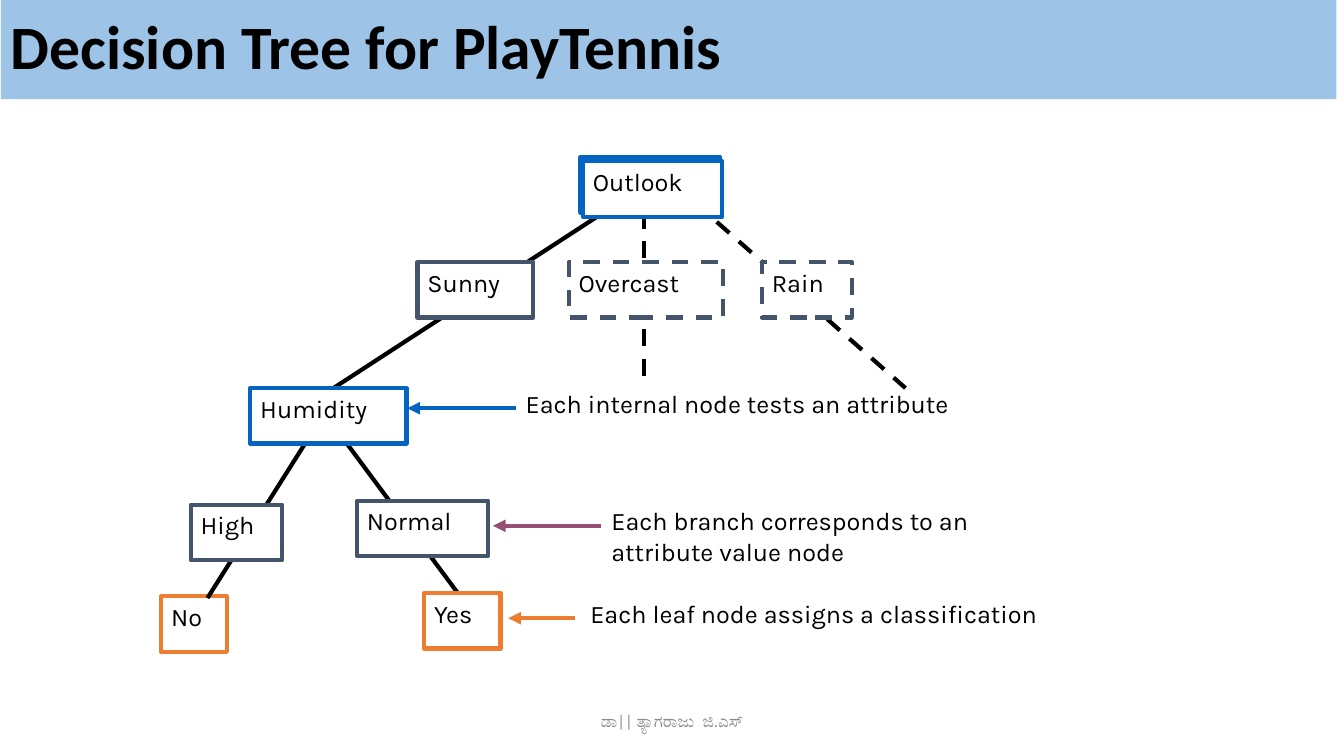
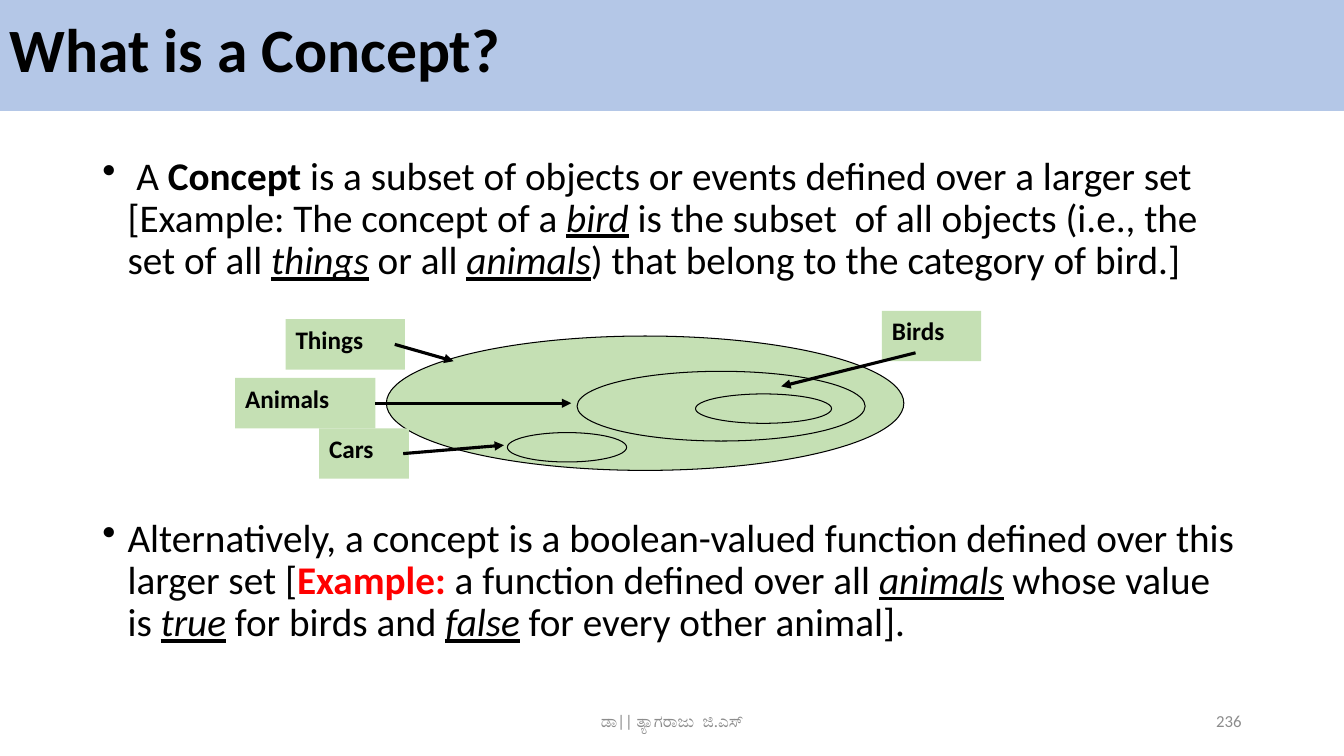
from dataclasses import dataclass

import pptx
import pptx.util
import pptx.dml.color
import pptx.enum.dml
import pptx.enum.shapes
import pptx.enum.text
import pptx.oxml
import pptx.oxml.ns

Pt = pptx.util.Pt
RGB = pptx.dml.color.RGBColor.from_string
SHAPE = pptx.enum.shapes.MSO_SHAPE
ALIGN = pptx.enum.text.PP_ALIGN
ANCHOR = pptx.enum.text.MSO_ANCHOR
DASH = pptx.enum.dml.MSO_LINE.DASH


@dataclass(frozen=True)
class Theme:
    black: str = "000000"
    white: str = "FFFFFF"
    grey: str = "8C8C8C"
    red: str = "FF0000"
    sky: str = "9DC3E6"
    periwinkle: str = "B4C7E7"
    green: str = "C5E0B4"
    attribute: str = "0563C1"
    value: str = "44546A"
    branch: str = "954F72"
    leaf: str = "ED7D31"
    main_font: str = "Calibri"
    tree_font: str = "Karla"
    title: int = 44
    body: int = 28
    label: int = 18
    footer: int = 12
    spacing: float = 0.9


T = Theme()
COLS, ROWS = 160, 90

prs = pptx.Presentation()
prs.slide_width = pptx.util.Inches(13.33)
prs.slide_height = pptx.util.Inches(7.5)
COL, ROW = prs.slide_width / COLS, prs.slide_height / ROWS


def add_box(s, x, y, w, h, text="", fill=None, line=None, weight=3, dash=False,
            kind=SHAPE.RECTANGLE, size=T.label, font=T.main_font, color=T.black,
            bold=False, align=ALIGN.LEFT, anchor=ANCHOR.TOP):
    """Place a box in grid units; each line of text becomes a paragraph."""
    place = int(x * COL), int(y * ROW), int(w * COL), int(h * ROW)
    if fill:
        sp = s.shapes.add_shape(kind, *place)
        sp.shadow.inherit = False
        sp.fill.solid()
        sp.fill.fore_color.rgb = RGB(fill)
    else:
        sp = s.shapes.add_textbox(*place)
    if line:
        sp.line.color.rgb = RGB(line)
        sp.line.width = Pt(weight)
        if dash:
            sp.line.dash_style = DASH
    else:
        sp.line.fill.background()
    tf = sp.text_frame
    tf.word_wrap = True
    tf.vertical_anchor = anchor
    for i, words in enumerate(text.splitlines()):
        p = tf.add_paragraph() if i else tf.paragraphs[0]
        p.alignment = align
        r = p.add_run()
        r.text = words
        r.font.name, r.font.size, r.font.bold = font, Pt(size), bold
        r.font.color.rgb = RGB(color)
    return sp


def add_line(s, start, end, color=T.black, weight=3.0, dash=False, arrow=False):
    cx = s.shapes.add_connector(
        pptx.enum.shapes.MSO_CONNECTOR.STRAIGHT,
        int(start[0] * COL), int(start[1] * ROW), int(end[0] * COL), int(end[1] * ROW))
    cx.line.color.rgb = RGB(color)
    cx.line.width = Pt(weight)
    if dash:
        cx.line.dash_style = DASH
    if arrow:
        tail = pptx.oxml.ns.qn("a:tailEnd")
        cx.line._get_or_add_ln().makeelement(tail)
        pptx.oxml.xmlchemy.OxmlElement("a:tailEnd")
        head = cx.line._get_or_add_ln().makeelement(tail, {"type": "triangle"})
        cx.line._get_or_add_ln().append(head)
    sp_pr = cx._element.spPr
    sp_pr.append(sp_pr.makeelement(pptx.oxml.ns.qn("a:effectLst")))
    return cx


# Shared title band and footer
slides = []
for title, band, fill in [
    ("Decision Tree for PlayTennis", (0.1, -0.1, 159, 11.9), T.sky),
    ("What is a Concept?", (0, -0.6, COLS, 13.8), T.periwinkle),
]:
    s = prs.slides.add_slide(prs.slide_layouts[6])
    sp = add_box(s, *band, title, fill=fill, size=T.title, bold=True, anchor=ANCHOR.MIDDLE)
    sp.text_frame.paragraphs[0].line_spacing = T.spacing
    add_box(s, 53, 83.4, 54, 4.8, "ಡಾ|| ತ್ಯಾಗರಾಜು  ಜಿ.ಎಸ್", size=T.footer, color=T.grey,
            align=ALIGN.CENTER, anchor=ANCHOR.MIDDLE)
    slides.append(s)
tree, concept = slides

# Decision tree: notes with arrows, then boxes behind the edges, edges, boxes in front
NODE_H = 6.6
for x, y, w, h, words, start, tip, color in [
    (61.4, 45.6, 66.7, 6, "Each internal node tests an attribute", 61.4, 48.5, T.attribute),
    (71.6, 59.6, 57.1, 10.9, "Each branch corresponds to an\nattribute value node",
     71.6, 58.7, T.branch),
    (69.1, 70.6, 69.2, 6, "Each leaf node assigns a classification", 68.5, 60.5, T.leaf),
]:
    add_box(tree, x, y, w, h, words, font=T.tree_font)
    add_line(tree, (start, y + 3), (tip, y + 3), color, arrow=True)

back_nodes = [
    ("", 69.1, 18.7, 16.6, T.attribute, False),
    ("No", 19.2, 71, 7.8, T.leaf, False),
]
edges = [
    ((40.4, 51.6), (54.5, 70.6), False),
    ((73.7, 24.1), (39.7, 46.2), False),
    ((82.7, 24.1), (107.8, 46.2), True),
    ((36.7, 52.2), (24.7, 71.2), False),
    ((76.7, 25.2), (76.7, 46.2), True),
]
front_nodes = [
    ("Outlook", 69.4, 19.2, 16.6, T.attribute, False),
    ("Sunny", 49.7, 31.2, 13.8, T.value, False),
    ("Overcast", 67.7, 31.2, 18.4, T.value, True),
    ("Rain", 90.7, 31.2, 10.7, T.value, True),
    ("Humidity", 29.8, 46.2, 18.6, T.attribute, False),
    ("High", 22.7, 60.1, 10.9, T.value, False),
    ("Normal", 42.5, 59.6, 15.6, T.value, False),
    ("Yes", 50.5, 70.6, 9.1, T.leaf, False),
]
for nodes in (back_nodes, front_nodes):
    if nodes is front_nodes:
        for start, end, dash in edges:
            add_line(tree, start, end, dash=dash)
    for name, x, y, w, color, dash in nodes:
        add_box(tree, x, y, w, NODE_H, name, fill=T.white, line=color, dash=dash,
                font=T.tree_font)

# Concept: two bullets; styles are b bold, e underlined italic, x bold red
bullets = [
    [(" A ", ""), ("Concept", "b"),
     (" is a subset of objects or events defined over a larger set "
      "[Example: The concept of a ", ""), ("bird", "e"),
     (" is the subset  of all objects (i.e., the set of all ", ""), ("things", "e"),
     (" or all ", ""), ("animals", "e"), (") that belong to the category of bird.]", "")],
    [("Alternatively, a concept is a boolean-valued function defined over this "
      "larger set [", ""), ("Example: ", "x"), ("a function defined over all ", ""),
     ("animals", "e"), (" whose value is ", ""), ("true", "e"),
     (" for birds and ", ""), ("false", "e"), (" for every other animal].", "")],
]
tf = add_box(concept, 11, 18, 138, 65.4).text_frame
for i, runs in enumerate(bullets):
    p = tf.add_paragraph() if i else tf.paragraphs[0]
    p.line_spacing = T.spacing
    if i:
        p.space_before = Pt(168)  # room for the diagram
    p_pr = p._p.get_or_add_pPr()
    indent = pptx.util.Inches(0.25)
    p_pr.set("marL", str(indent))
    p_pr.set("indent", str(-indent))
    p_pr.append(p_pr.makeelement(pptx.oxml.ns.qn("a:buChar"), {"char": "•"}))
    for words, style in runs:
        r = p.add_run()
        r.text = words
        r.font.name, r.font.size = T.main_font, Pt(T.body)
        r.font.bold = style in ("b", "x")
        r.font.italic = r.font.underline = style == "e"
        r.font.color.rgb = RGB(T.red if style == "x" else T.black)

# Nested sets with labels and arrows
for x, y, w, h in [(46, 40, 61.6, 16), (68.7, 44.2, 34.3, 8.3),
                   (82.8, 46.9, 16.2, 3.5), (60.4, 51.5, 14.2, 3.5)]:
    add_box(concept, x, y, w, h, fill=T.green, line=T.black, weight=0.75, kind=SHAPE.OVAL)

labels = {}
for name, x, y, w in [("Things", 34, 38, 14.2), ("Animals", 28, 45, 16.7),
                      ("Birds", 105, 37, 11.8), ("Cars", 38, 51, 10.7)]:
    labels[name] = add_box(concept, x, y, w, 6, name, fill=T.green, bold=True)

for name, start, end in [("Things", (47, 41), (54, 43)), ("Animals", (45, 48), (68, 48)),
                         ("Birds", (109, 42), (93, 46)), ("Cars", (48, 54), (60, 53))]:
    cx = add_line(concept, start, end, weight=2.25, arrow=True)
    if name == "Animals":
        cx.begin_connect(labels[name], 3)

add_box(concept, 113, 83.4, 36, 4.8, "236", size=T.footer, color=T.grey,
        align=ALIGN.RIGHT, anchor=ANCHOR.MIDDLE)

prs.save("out.pptx")
